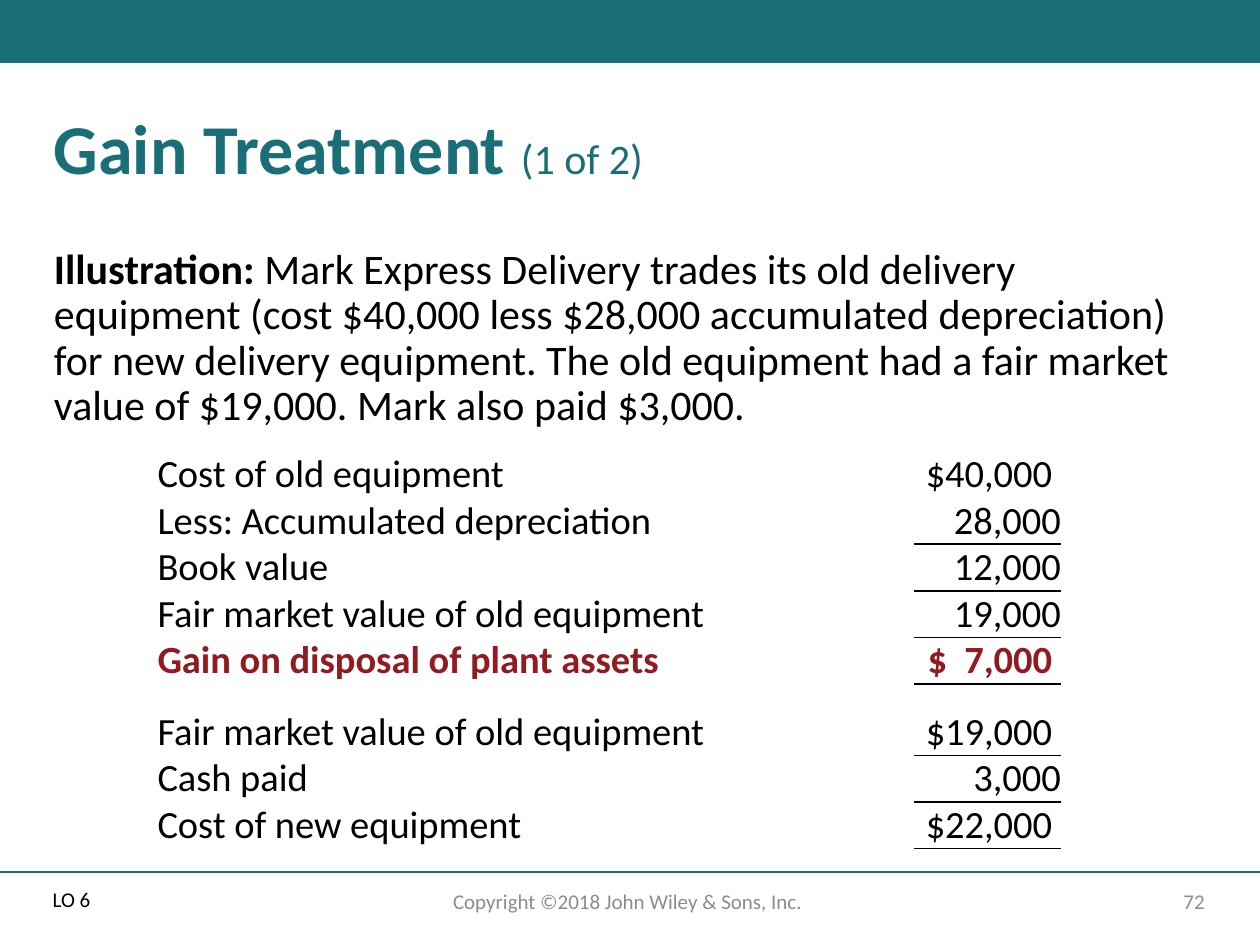
from lxml.etree import SubElement
from pptx import Presentation
from pptx.dml.color import RGBColor
from pptx.enum.shapes import MSO_CONNECTOR, MSO_SHAPE
from pptx.enum.text import MSO_ANCHOR, PP_ALIGN
from pptx.oxml import parse_xml
from pptx.oxml.ns import nsdecls, qn
from pptx.util import Inches, Pt

COLORS = {"teal": "196E78", "text": "000000", "gain": "911B21", "muted": "8C8C8C"}
FONT = "Calibri"
GAIN_ROW, SECOND_GROUP_ROW = 4, 5
ROWS = [
    ("Cost of old equipment", "$40,000 "),
    ("Less: Accumulated depreciation", "28,000"),
    ("Book value", "12,000"),
    ("Fair market value of old equipment", "19,000"),
    ("Gain on disposal of plant assets", "$  7,000 "),
    ("Fair market value of old equipment", "$19,000 "),
    ("Cash paid", "3,000"),
    ("Cost of new equipment", "$22,000 "),
]


def rgb(name):
    return RGBColor.from_string(COLORS[name])


def add_run(p, text, size=12, color="text", bold=False):
    r = p.add_run()
    r.text = text
    r.font.name = FONT
    r.font.size = Pt(size)
    r.font.bold = bold
    r.font.color.rgb = rgb(color)


def add_text(slide, box, runs, align=PP_ALIGN.LEFT, anchor=MSO_ANCHOR.MIDDLE, spacing=1.0):
    """Add a wrapped text box; runs is a list of (text, format) pairs."""
    tf = slide.shapes.add_textbox(*(Inches(v) for v in box)).text_frame
    tf.word_wrap = True
    tf.vertical_anchor = anchor
    p = tf.paragraphs[0]
    p.alignment = align
    p.line_spacing = spacing
    for text, style in runs:
        add_run(p, text, **style)


def add_banner(slide):
    sp = slide.shapes.add_shape(MSO_SHAPE.RECTANGLE, 0, 0, Inches(10), Inches(0.5))
    sp.shadow.inherit = False
    sp.fill.solid()
    sp.fill.fore_color.rgb = rgb("teal")
    sp.line.fill.background()


def add_footer_rule(slide):
    y = Inches(6.92)
    line = slide.shapes.add_connector(MSO_CONNECTOR.STRAIGHT, 0, y, Inches(10), y)
    line.line.color.rgb = rgb("teal")
    line.line.width = Pt(1)
    SubElement(line._element.spPr, qn("a:effectLst"))


def set_borders(cell, ruled):
    """Draw a thin rule on the sides in ruled and clear the other sides."""
    tcPr = cell._tc.get_or_add_tcPr()
    for i, side in enumerate("LRTB"):
        fill = "<a:noFill/>"
        if side in ruled:
            fill = f'<a:solidFill><a:srgbClr val="{COLORS["text"]}"/></a:solidFill>'
        tcPr.insert(i, parse_xml(
            f'<a:ln{side} {nsdecls("a")} w="{Pt(1)}">{fill}</a:ln{side}>'))


def fill_cell(cell, text, align, top, right, ruled, **style):
    cell.margin_left = cell.margin_bottom = 0
    cell.margin_top, cell.margin_right = Inches(top), Inches(right)
    cell.vertical_anchor = MSO_ANCHOR.MIDDLE
    cell.fill.background()
    set_borders(cell, ruled)
    p = cell.text_frame.paragraphs[0]
    p.alignment = align
    add_run(p, text, size=22, **style)


def add_computation(slide):
    table = slide.shapes.add_table(
        len(ROWS), 2, Inches(1.25), Inches(3.58), Inches(7.17), Inches(3.18)).table
    table.first_row = table.horz_banding = False
    table.columns[0].width, table.columns[1].width = Inches(6), Inches(1.17)
    for i, (label, amount) in enumerate(ROWS):
        new_group = i == SECOND_GROUP_ROW
        table.rows[i].height = Inches(0.52 if new_group else 0.37)
        top = 0.2 if new_group else 0
        style = {"color": "gain", "bold": True} if i == GAIN_ROW else {}
        # Every amount after the first is underlined
        ruled = ("T" if i > 1 else "") + ("B" if i > 0 else "")
        right = 0 if i == GAIN_ROW else 0.3
        fill_cell(table.cell(i, 0), label, PP_ALIGN.LEFT, top, right, "", **style)
        fill_cell(table.cell(i, 1), amount, PP_ALIGN.RIGHT, top, 0, ruled, **style)


def main():
    prs = Presentation()
    prs.slide_width, prs.slide_height = Inches(10), Inches(7.5)
    slide = prs.slides.add_slide(prs.slide_layouts[6])

    add_banner(slide)
    add_footer_rule(slide)
    add_text(slide, (0.33, 0.83, 9.33, 0.75), [
        ("Gain Treatment ", {"size": 40, "color": "teal", "bold": True}),
        ("(1 of 2)", {"size": 24, "color": "teal"}),
    ], spacing=0.9)
    add_text(slide, (0.33, 1.92, 9.33, 1.5), [
        ("Illustration: ", {"size": 24, "bold": True}),
        ("Mark Express Delivery trades its old delivery equipment (cost $40,000 "
         "less $28,000 accumulated depreciation) for new delivery equipment. "
         "The old equipment had a fair market value of $19,000. "
         "Mark also paid $3,000.", {"size": 24}),
    ], anchor=MSO_ANCHOR.TOP, spacing=0.9)
    add_computation(slide)

    muted = {"color": "muted"}
    add_text(slide, (0.32, 6.95, 0.62, 0.4), [("LO 6", {})], spacing=0.9)
    add_text(slide, (7.06, 6.95, 2.6, 0.4), [("72", muted)], align=PP_ALIGN.RIGHT)
    add_text(slide, (3.31, 6.95, 3.38, 0.4),
             [("Copyright ©2018 John Wiley & Sons, Inc. ", muted)], align=PP_ALIGN.CENTER)
    prs.save("out.pptx")


if __name__ == "__main__":
    main()
